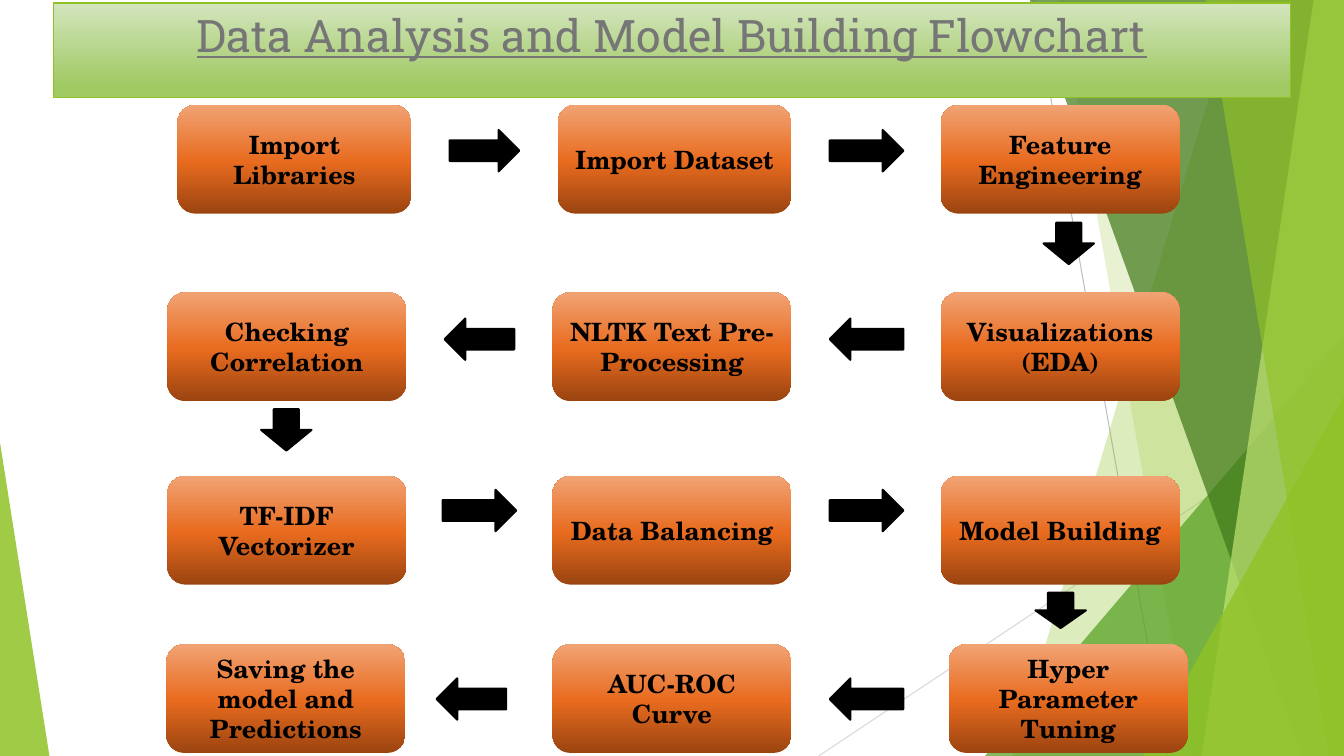
from dataclasses import dataclass

from lxml.etree import SubElement
from pptx import Presentation
from pptx.dml.color import RGBColor
from pptx.enum.shapes import MSO_CONNECTOR, MSO_SHAPE as Kind
from pptx.enum.text import MSO_ANCHOR as Anchor, PP_ALIGN as Align
from pptx.oxml.ns import qn
from pptx.shapes.autoshape import Shape
from pptx.util import Pt

PX = 9144  # EMU in one px, 100 px to the inch
WIDTH, HEIGHT = 1333, 750
TOP = -1
STEP_HIGH = 108
LIME, BLACK = "90C226", "000000"
RIGHT, LEFT, DOWN = Kind.RIGHT_ARROW, Kind.LEFT_ARROW, Kind.DOWN_ARROW
Stops = list[tuple[int, str]]
MINT: Stops = [(0, "D3E5BE"), (88, "A0C962")]
RUST: Stops = [(0, "9B4410"), (48, "E86B1F"), (100, "F1A374")]


@dataclass
class Line:
    start: tuple[int, int]
    end: tuple[int, int]
    color: str


@dataclass
class Band:
    """A strip from top to bottom, open to the right edge of the slide."""
    top: int
    foot: int
    color: str
    alpha: int


@dataclass
class Wedge:
    left: int
    top: int
    width: int
    peak: int
    color: str
    alpha: int


@dataclass
class Step:
    text: str
    left: int
    top: int
    width: int = 237


@dataclass
class Arrow:
    kind: Kind
    left: int
    top: int
    width: int = 73
    height: int = 41


LINES = [Line((1025, 0), (1158, 750), "BFBFBF"),
         Line((1333, 403), (812, 750), "D9D9D9")]
DECOR = [
    Band(1228, 1004, LIME, 30),
    Band(1050, 1183, LIME, 20),
    Wedge(977, 333, 356, 1, "54A021", 72),
    Band(1021, 1291, "3F7819", 70),
    Band(1303, 1192, "C0E474", 70),
    Band(1196, 1318, LIME, 65),
    Wedge(1134, 393, 199, 1, LIME, 80),
    Wedge(0, 439, 49, 0, LIME, 85),
]
STEPS = [
    Step("Import Libraries", 176, 104, 232),
    Step("Import Dataset", 553, 104, 232),
    Step("Feature Engineering", 933, 104),
    Step("Visualizations\n(EDA)", 933, 290),
    Step("NLTK Text Pre-Processing", 548, 290),
    Step("Checking Correlation", 166, 290),
    Step("TF-IDF Vectorizer", 166, 472),
    Step("Data Balancing", 548, 472),
    Step("Model Building", 933, 472),
    Step("Hyper Parameter Tuning", 941, 639),
    Step("AUC-ROC Curve", 548, 639),
    Step("Saving the model and Predictions", 165, 639),
]
ARROWS = [
    Arrow(RIGHT, 446, 129, 69),
    Arrow(RIGHT, 823, 129),
    Arrow(DOWN, 1035, 221, 50),
    Arrow(LEFT, 823, 316),
    Arrow(LEFT, 441, 316, 69),
    Arrow(DOWN, 259, 406, 50),
    Arrow(RIGHT, 439, 486),
    Arrow(RIGHT, 823, 486),
    Arrow(DOWN, 1027, 588, 50, 35),
    Arrow(LEFT, 823, 673),
    Arrow(LEFT, 433, 673, 69),
]

deck = Presentation()
deck.slide_width, deck.slide_height = WIDTH * PX, HEIGHT * PX
shapes = deck.slides.add_slide(deck.slide_layouts[6]).shapes


def rgb(color: str) -> RGBColor:
    return RGBColor.from_string(color)


def paint(shape: Shape, color: str, alpha: int = 100) -> None:
    shape.shadow.inherit = False
    shape.line.fill.background()
    shape.fill.solid()
    shape.fill.fore_color.rgb = rgb(color)
    if alpha < 100:
        tint = shape.fill._xPr.find(qn("a:solidFill"))[0]
        SubElement(tint, qn("a:alpha"), val=str(alpha * 1000))


def blend(shape: Shape, stops: Stops, angle: int) -> None:
    """Fill with a gradient; the angle turns counter-clockwise."""
    shape.fill.gradient()
    shape.fill.gradient_angle = angle
    items = shape.fill._xPr.find(qn("a:gradFill")).find(qn("a:gsLst"))
    items.clear()
    for place, color in stops:
        stop = SubElement(items, qn("a:gs"), pos=str(place * 1000))
        SubElement(stop, qn("a:srgbClr"), val=color)


def edge(shape: Shape, color: str, width: float) -> None:
    shape.line.color.rgb = rgb(color)
    shape.line.width = Pt(width)


def add(kind: Kind, left: int, top: int, width: int, height: int) -> Shape:
    return shapes.add_shape(kind, left * PX, top * PX, width * PX, height * PX)


def write(shape: Shape, text: str, face: str, size: int, color: str) -> None:
    shape.text_frame.text = text
    shape.text_frame.word_wrap = True
    for para in shape.text_frame.paragraphs:
        para.alignment = Align.CENTER
        para.font.name, para.font.size = face, Pt(size)
        para.font.color.rgb = rgb(color)


def draw_line(line: Line) -> None:
    ends = [value * PX for value in line.start + line.end]
    link = shapes.add_connector(MSO_CONNECTOR.STRAIGHT, *ends)
    edge(link, line.color, 0.75)
    SubElement(link._element.spPr, qn("a:effectLst"))


def draw_decor(part: Band | Wedge) -> None:
    if isinstance(part, Band):
        pen = shapes.build_freeform(part.top, TOP, scale=PX)
        pen.add_line_segments(
            [(WIDTH, TOP), (WIDTH, HEIGHT), (part.foot, HEIGHT)], close=True)
        shape = pen.convert_to_shape()
    else:
        shape = add(Kind.ISOSCELES_TRIANGLE, part.left, part.top,
                    part.width, HEIGHT - part.top)
        shape.adjustments[0] = part.peak
    paint(shape, part.color, part.alpha)


def draw_title(text: str) -> None:
    shape = add(Kind.RECTANGLE, 53, 3, 1227, 94)
    shape.shadow.inherit = False
    blend(shape, MINT, 270)
    edge(shape, LIME, 1)
    write(shape, text, "Roboto Slab", 32, "767676")
    shape.text_frame.vertical_anchor = Anchor.TOP
    shape.text_frame.paragraphs[0].font.underline = True


def draw_step(step: Step) -> None:
    shape = add(Kind.FLOWCHART_ALTERNATE_PROCESS, step.left, step.top,
                step.width, STEP_HIGH)
    shape.shadow.inherit = False
    shape.line.fill.background()
    blend(shape, RUST, 90)
    write(shape, step.text, "TeX Gyre Schola", 18, BLACK)
    shape.text_frame.vertical_anchor = Anchor.MIDDLE
    for para in shape.text_frame.paragraphs:
        para.font.bold = True


def draw_arrow(arrow: Arrow) -> None:
    shape = add(arrow.kind, arrow.left, arrow.top, arrow.width, arrow.height)
    paint(shape, BLACK)
    edge(shape, BLACK, 1.5)


for line in LINES:
    draw_line(line)
for part in DECOR:
    draw_decor(part)
draw_title("Data Analysis and Model Building Flowchart")
for step in STEPS:
    draw_step(step)
for arrow in ARROWS:
    draw_arrow(arrow)

deck.save("out.pptx")
